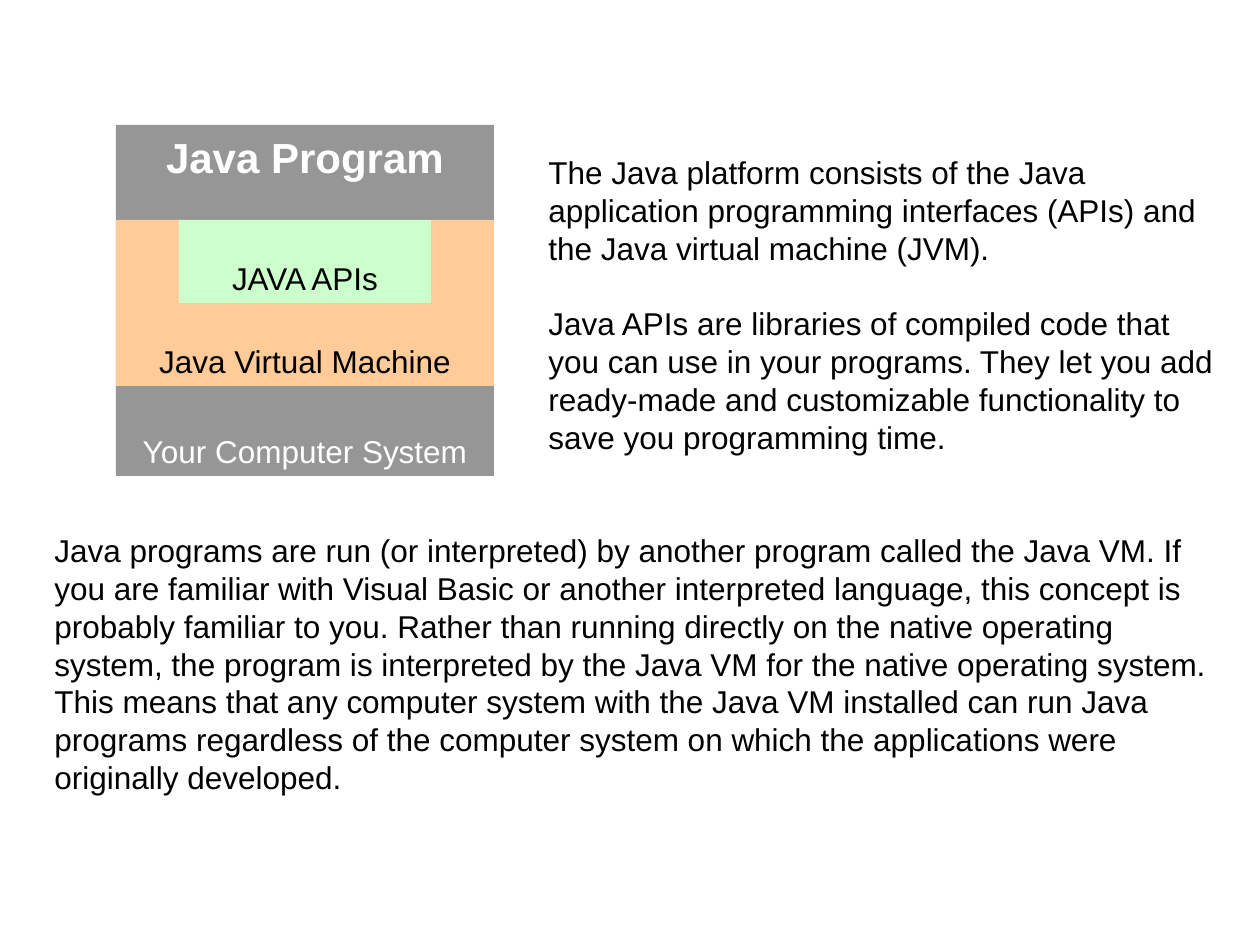
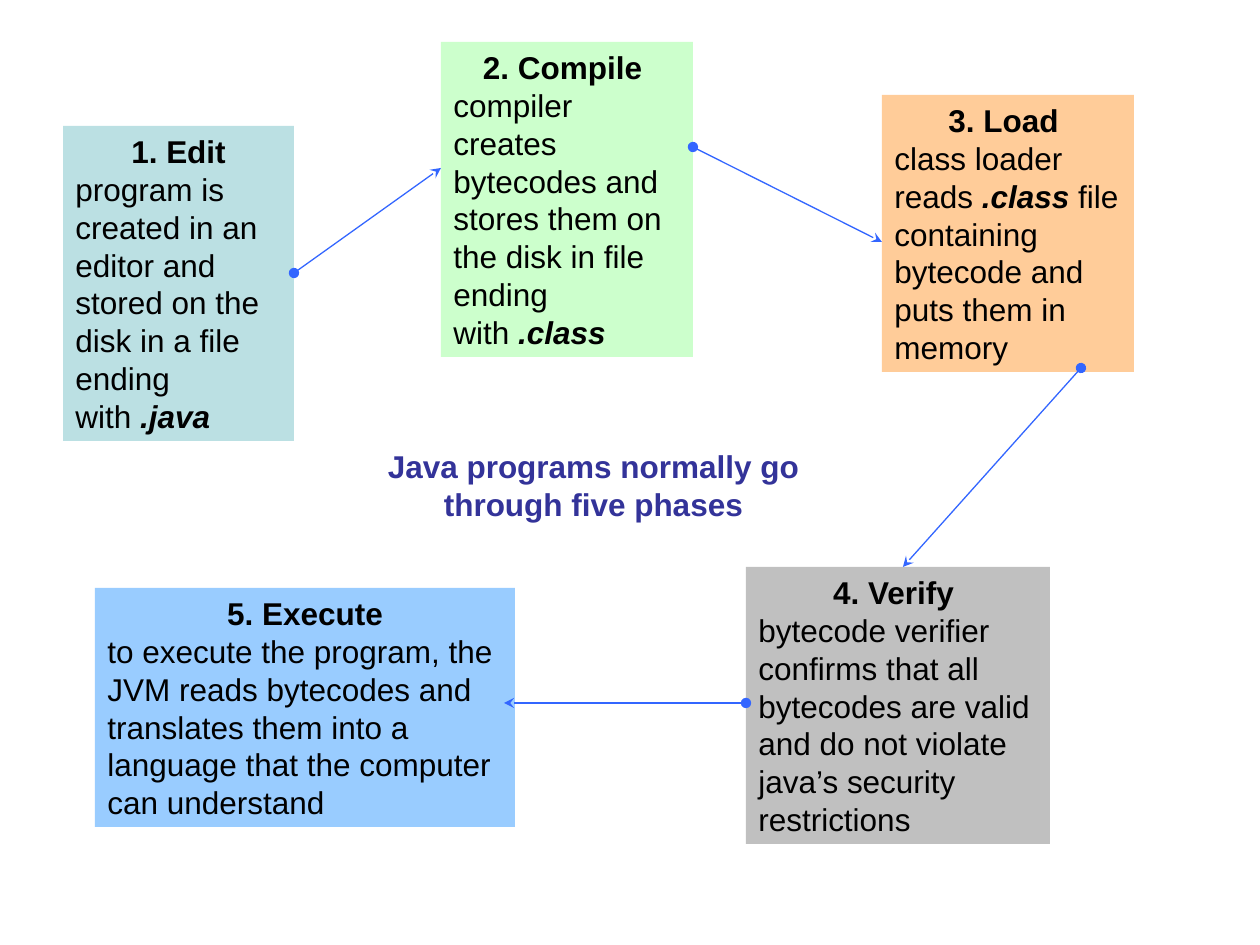
from lxml import etree
from pptx import Presentation
from pptx import util as u
from pptx.dml import color
from pptx.enum import shapes, text
from pptx.oxml import ns

PX = 914400 // 126
FONT = "Arial"
GRAY, PEACH, GREEN = "969696", "FFCC99", "CCFFCC"
BLACK, WHITE, INDIGO, BLUE = "000000", "FFFFFF", "333399", "3366FF"
LEFT, CENTER = text.PP_ALIGN.LEFT, text.PP_ALIGN.CENTER
TOP, BOTTOM = text.MSO_ANCHOR.TOP, text.MSO_ANCHOR.BOTTOM
NBSP = chr(160)
rgb = color.RGBColor.from_string


def add_box(slide, place, fill=None):
    """Add a filled rectangle, or a text box when there is no fill."""
    place = [n * PX for n in place]
    if fill is None:
        return slide.shapes.add_textbox(*place)
    box = slide.shapes.add_shape(shapes.MSO_SHAPE.RECTANGLE, *place)
    box.shadow.inherit = False
    box.fill.solid()
    box.fill.fore_color.rgb = rgb(fill)
    box.line.fill.background()
    return box


def write(box, content, size=18, ink=BLACK, bold=False, align=LEFT, before=0, anchor=TOP):
    """Append one paragraph; words between asterisks are bold italic."""
    frame = box.text_frame
    frame.word_wrap = True
    frame.auto_size = text.MSO_AUTO_SIZE.NONE
    frame.vertical_anchor = anchor
    paragraph = frame.add_paragraph() if frame.text else frame.paragraphs[0]
    paragraph.alignment = align
    paragraph.space_before = u.Pt(before)
    paragraph.line_spacing = u.Pt(size * 1.2)
    for i, part in enumerate(content.split("*")):
        if part:
            run = paragraph.add_run()
            run.text = part
            run.font.name, run.font.size = FONT, u.Pt(size)
            run.font.bold, run.font.italic = bold or i % 2 == 1, i % 2 == 1
            run.font.color.rgb = rgb(ink)


deck = Presentation()
deck.slide_width, deck.slide_height = 1260 * PX, 945 * PX

# Slide 1: the Java platform
platform = deck.slides.add_slide(deck.slide_layouts[6])

explanation = add_box(platform, (536, 147, 693, 353))
write(explanation, "The Java platform consists of the Java application programming "
      "interfaces (APIs) and the Java virtual machine (JVM).")
write(explanation, "Java APIs are libraries of compiled code that you can use in your "
      "programs. They let you add ready-made and customizable functionality to save "
      "you programming time.", before=21.6)

interpreter = add_box(platform, (42, 525, 1187, 277))
write(interpreter, "Java programs are run (or interpreted) by another program called the "
      "Java VM. If you are familiar with Visual Basic or another interpreted language, "
      "this concept is probably familiar to you. Rather than running directly on the "
      "native operating system, the program is interpreted by the Java VM for the native "
      "operating system. This means that any computer system with the Java VM installed "
      "can run Java programs regardless of the computer system on which the applications "
      "were originally developed.")

# Nested layers of the platform
system = add_box(platform, (116, 125, 378, 351), GRAY)
write(system, "Java Program", size=24, ink=WHITE, bold=True, align=CENTER, anchor=BOTTOM)
write(system, "Your Computer System", ink=WHITE, align=CENTER, before=143, anchor=BOTTOM)
for layer, place, fill in [
    ("Java Virtual Machine", (116, 220, 378, 166), PEACH),
    ("JAVA APIs", (179, 220, 252, 83), GREEN),
]:
    write(add_box(platform, place, fill), layer, align=CENTER, anchor=BOTTOM)

# Slide 2: the five phases
phases = deck.slides.add_slide(deck.slide_layouts[5])

heading = phases.shapes.title
heading.left, heading.top, heading.width, heading.height = [
    n * PX for n in (368, 441, 451, 88)]
write(heading, "Java programs normally go through five phases",
      ink=INDIGO, bold=True, align=CENTER)

for phase, description, place, fill in [
    ("1. Edit", "program is created in an editor and stored on the disk in a file "
     f"ending with{NBSP}*.java*", (63, 126, 231, 315), "BBE0E3"),
    ("2. Compile ", "compiler creates bytecodes and stores them on the disk in file "
     f"ending with{NBSP}*.class*", (441, 42, 252, 315), GREEN),
    ("3. Load ", "class loader reads *.class* file containing bytecode and puts them "
     "in memory", (882, 95, 252, 277), PEACH),
    ("4. Verify ", "bytecode verifier confirms that all bytecodes are valid and do not "
     "violate java’s security restrictions", (746, 567, 304, 277), "C0C0C0"),
    ("5. Execute", "to execute the program, the JVM reads bytecodes and translates them "
     "into a language that the computer can understand", (95, 588, 420, 239), "99CCFF"),
]:
    step = add_box(phases, place, fill)
    write(step, phase, bold=True, align=CENTER)
    write(step, description)

# Arrows from phase to phase
for ends in [
    (294, 273, 441, 168),
    (693, 147, 882, 242),
    (1081, 368, 903, 567),
    (746, 703, 504, 703),
]:
    arrow = phases.shapes.add_connector(
        shapes.MSO_CONNECTOR.STRAIGHT, *[n * PX for n in ends])
    arrow.line.color.rgb = rgb(BLUE)
    arrow.line.width = u.Pt(0.75)
    outline = arrow.line._get_or_add_ln()
    for tag, tip in [("a:headEnd", "oval"), ("a:tailEnd", "stealth")]:
        etree.SubElement(outline, ns.qn(tag), type=tip, w="med", len="med")
    etree.SubElement(arrow._element.spPr, ns.qn("a:effectLst"))

deck.save("out.pptx")
